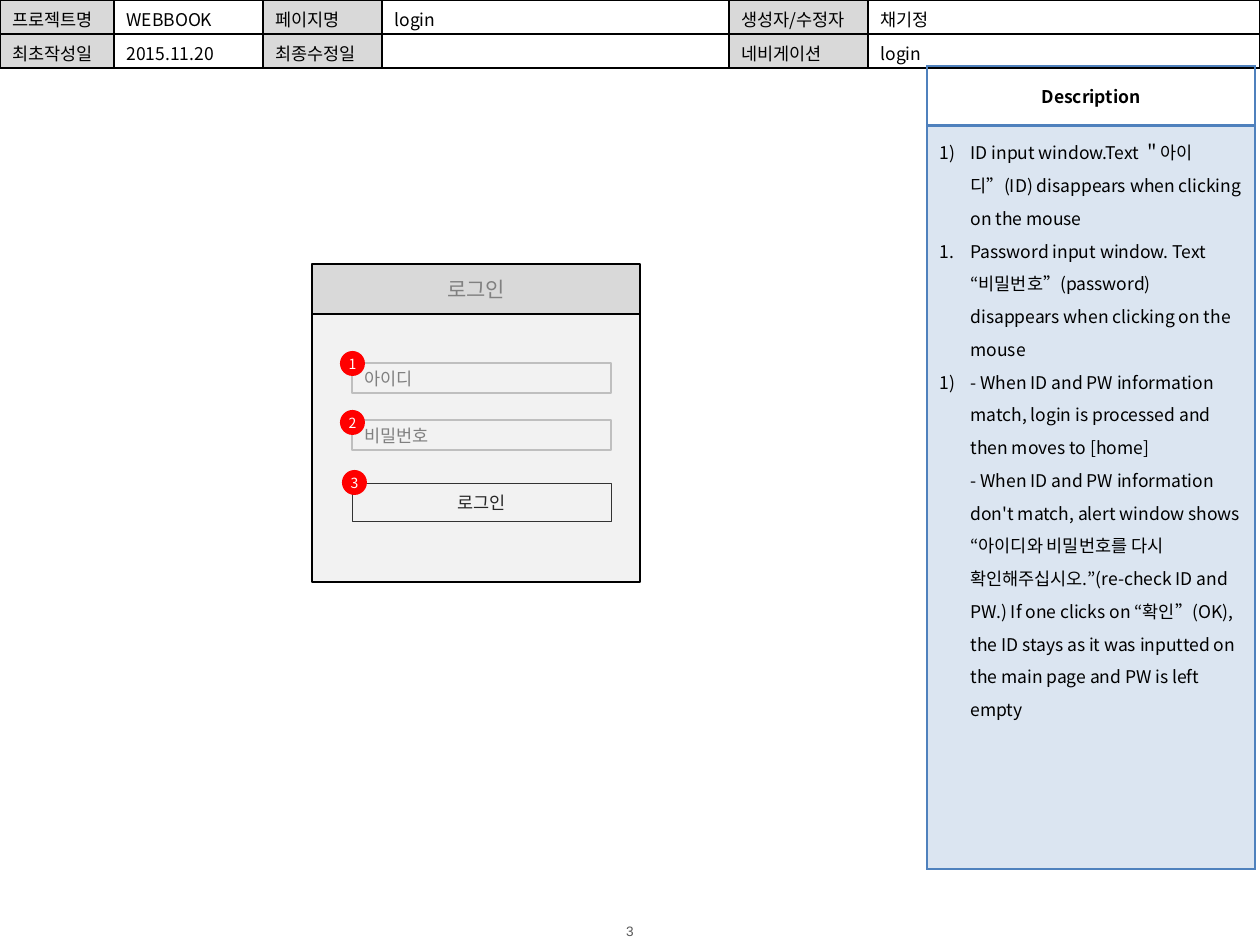
"""Builds the login page of a web storyboard: page facts, wireframe and description."""
from copy import deepcopy
from dataclasses import dataclass

from pptx import Presentation
from pptx.dml.color import RGBColor
from pptx.enum.shapes import MSO_SHAPE
from pptx.enum.text import MSO_ANCHOR, PP_ALIGN
from pptx.oxml import parse_xml
from pptx.oxml.ns import nsdecls, qn
from pptx.oxml.xmlchemy import OxmlElement
from pptx.util import Emu, Pt


@dataclass(frozen=True)
class Theme:
    font: str = "Noto Sans CJK KR"
    button_font: str = "Calibri"
    number_font: str = "Arial"
    black: str = "000000"
    white: str = "FFFFFF"
    label: str = "D9D9D9"
    panel: str = "F2F2F2"
    field: str = "BFBFBF"
    hint: str = "808080"
    button: str = "333333"
    button_text: str = "262626"
    badge: str = "FF0000"
    accent: str = "4F81BD"
    number: str = "595959"
    body_size: float = 10
    title_size: float = 12
    badge_size: float = 8
    number_size: float = 7.8


THEME = Theme()
FACTS = [
    ["프로젝트명", "WEBBOOK", "페이지명", "login", "생성자/수정자", "채기정"],
    ["최초작성일", "2015.11.20", "최종수정일", "", "네비게이션", "login"],
]
FACT_WIDTHS = [114, 149, 119, 347, 139, 392]
FACT_HEIGHT = 34
HEADING = "Description"
NOTES = [
    ("arabicParenR", "ID input window.Text ＂아이디”(ID) disappears when clicking on the mouse"),
    ("arabicPeriod", "Password input window. Text “비밀번호”(password) disappears when clicking on the mouse"),
    ("arabicParenR", "- When ID and PW information match, login is processed and then moves to [home]\v"
     "- When ID and PW information don't match, alert window shows “아이디와 비밀번호를 다시 "
     "확인해주십시오.”(re-check ID and PW.) If one clicks on “확인”(OK), the ID stays as it was "
     "inputted on the main page and PW is left empty"),
]
DESCRIPTION_BOX = (927, 66, 328, 803)
HEADING_HEIGHT = 60
LOGIN_TITLE = "로그인"
LOGIN_LEFT, LOGIN_TOP, LOGIN_WIDTH = 312, 264, 328
TITLE_HEIGHT, PANEL_HEIGHT = 50, 268
CONTROL_LEFT, CONTROL_WIDTH = 352, 259
FIELDS = [("아이디", 363), ("비밀번호", 420)]
FIELD_HEIGHT = 30
BUTTON_TOP, BUTTON_HEIGHT = 483, 39
BADGES = [("1", 340, 351), ("2", 340, 410), ("3", 342, 470)]
BADGE_SIZE = 25
PAGE_NUMBER = "3"
PAGE_NUMBER_BOX = (576, 922, 108, 18)


def px(length):
    return Emu(round(length * 914400 / 126))


def write(frame, text, *, size=THEME.body_size, font=THEME.font, color=THEME.black,
          bold=False, align=PP_ALIGN.LEFT, numbering=None, spacing=None):
    frame.word_wrap = True
    texts = [text] if isinstance(text, str) else text
    for index, content in enumerate(texts):
        paragraph = frame.add_paragraph() if index else frame.paragraphs[0]
        paragraph.text = content
        paragraph.alignment = align
        if spacing:
            paragraph.line_spacing = spacing
        if numbering:
            properties = paragraph._p.get_or_add_pPr()
            properties.set("marL", str(px(31)))
            properties.set("indent", str(-px(31)))
            number = OxmlElement("a:buAutoNum")
            number.set("type", numbering[index])
            properties.append(number)
        for run in paragraph.runs:
            run.font.size = Pt(size)
            run.font.bold = bold
            run.font.name = font
            run.font.color.rgb = RGBColor.from_string(color)
            east_asian = OxmlElement("a:ea")
            east_asian.set("typeface", THEME.font)
            run.font._element.append(east_asian)
        for line_break in paragraph._p.findall(qn("a:br")):
            line_break.append(deepcopy(paragraph.runs[0].font._element))
        if not content:
            paragraph._p.get_or_add_endParaRPr().set("sz", str(round(size * 100)))


def add_box(slide, kind, box, fill, line=None, line_width=1, text="", inset=None, **text_format):
    shape = slide.shapes.add_shape(kind, *map(px, box))
    shape.shadow.inherit = False
    shape.fill.solid()
    shape.fill.fore_color.rgb = RGBColor.from_string(fill)
    if line:
        shape.line.color.rgb = RGBColor.from_string(line)
        shape.line.width = Pt(line_width)
    else:
        shape.line.fill.background()
    if text:
        frame = shape.text_frame
        frame.vertical_anchor = MSO_ANCHOR.MIDDLE
        if inset is not None:
            frame.margin_left = frame.margin_right = frame.margin_top = frame.margin_bottom = inset
        write(frame, text, **text_format)


def style_cell(cell, color, widths, fill=None, alpha=None):
    for side, width in zip("LRTB", widths):
        cell._tc.get_or_add_tcPr().append(parse_xml(
            f'<a:ln{side} {nsdecls("a")} w="{Pt(width)}"><a:solidFill>'
            f'<a:srgbClr val="{color}"/></a:solidFill></a:ln{side}>'))
    if not fill:
        cell.fill.background()
        return
    cell.fill.solid()
    cell.fill.fore_color.rgb = RGBColor.from_string(fill)
    if alpha:
        opacity = OxmlElement("a:alpha")
        opacity.set("val", str(alpha * 1000))
        cell._tc.tcPr.find(qn("a:solidFill"))[0].append(opacity)


def add_grid(slide, left, top, widths, heights):
    table = slide.shapes.add_table(
        len(heights), len(widths), *map(px, (left, top, sum(widths), sum(heights)))).table
    table.first_row = table.horz_banding = False
    for column, width in zip(table.columns, widths):
        column.width = px(width)
    for row, height in zip(table.rows, heights):
        row.height = px(height)
    return table


def add_facts(slide):
    facts = add_grid(slide, 0, 0, FACT_WIDTHS, [FACT_HEIGHT] * len(FACTS))
    for row, values in enumerate(FACTS):
        for column, value in enumerate(values):
            cell = facts.cell(row, column)
            cell.margin_bottom = px(2)
            write(cell.text_frame, value)
            style_cell(cell, THEME.black, (1, 1, 1, 1), None if column % 2 else THEME.label)


def add_description(slide):
    left, top, width, height = DESCRIPTION_BOX
    description = add_grid(slide, left, top, [width], [HEADING_HEIGHT, height - HEADING_HEIGHT])
    heading, notes = description.cell(0, 0), description.cell(1, 0)
    heading.vertical_anchor = MSO_ANCHOR.MIDDLE
    write(heading.text_frame, HEADING, bold=True, align=PP_ALIGN.CENTER)
    style_cell(heading, THEME.accent, (1, 1, 1, 2))
    numbering, texts = zip(*NOTES)
    write(notes.text_frame, texts, numbering=numbering, spacing=1.3)
    style_cell(notes, THEME.accent, (1, 1, 2, 1), THEME.accent, alpha=20)


def add_login(slide):
    rectangle = MSO_SHAPE.RECTANGLE
    add_box(slide, rectangle, (LOGIN_LEFT, LOGIN_TOP + TITLE_HEIGHT, LOGIN_WIDTH, PANEL_HEIGHT),
            THEME.panel, THEME.black)
    add_box(slide, rectangle, (LOGIN_LEFT, LOGIN_TOP, LOGIN_WIDTH, TITLE_HEIGHT),
            THEME.label, THEME.black, text=LOGIN_TITLE, size=THEME.title_size,
            color=THEME.hint, align=PP_ALIGN.CENTER)
    for hint, top in FIELDS:
        add_box(slide, rectangle, (CONTROL_LEFT, top, CONTROL_WIDTH, FIELD_HEIGHT),
                THEME.panel, THEME.field, text=hint, color=THEME.hint)
    add_box(slide, rectangle, (CONTROL_LEFT, BUTTON_TOP, CONTROL_WIDTH, BUTTON_HEIGHT),
            THEME.panel, THEME.button, 0.5, LOGIN_TITLE, font=THEME.button_font,
            color=THEME.button_text, align=PP_ALIGN.CENTER)
    for number, left, top in BADGES:
        add_box(slide, MSO_SHAPE.OVAL, (left, top, BADGE_SIZE, BADGE_SIZE), THEME.badge,
                text=number, inset=0, size=THEME.badge_size, color=THEME.white,
                align=PP_ALIGN.CENTER)


def add_page_number(slide):
    frame = slide.shapes.add_textbox(*map(px, PAGE_NUMBER_BOX)).text_frame
    frame.margin_left = frame.margin_right = frame.margin_top = frame.margin_bottom = 0
    frame.vertical_anchor = MSO_ANCHOR.MIDDLE
    write(frame, PAGE_NUMBER, size=THEME.number_size, font=THEME.number_font,
          color=THEME.number, align=PP_ALIGN.CENTER)


def main():
    storyboard = Presentation()
    storyboard.slide_width, storyboard.slide_height = px(1260), px(945)
    slide = storyboard.slides.add_slide(storyboard.slide_layouts[6])
    for add_part in (add_page_number, add_facts, add_description, add_login):
        add_part(slide)
    storyboard.save("out.pptx")


if __name__ == "__main__":
    main()
